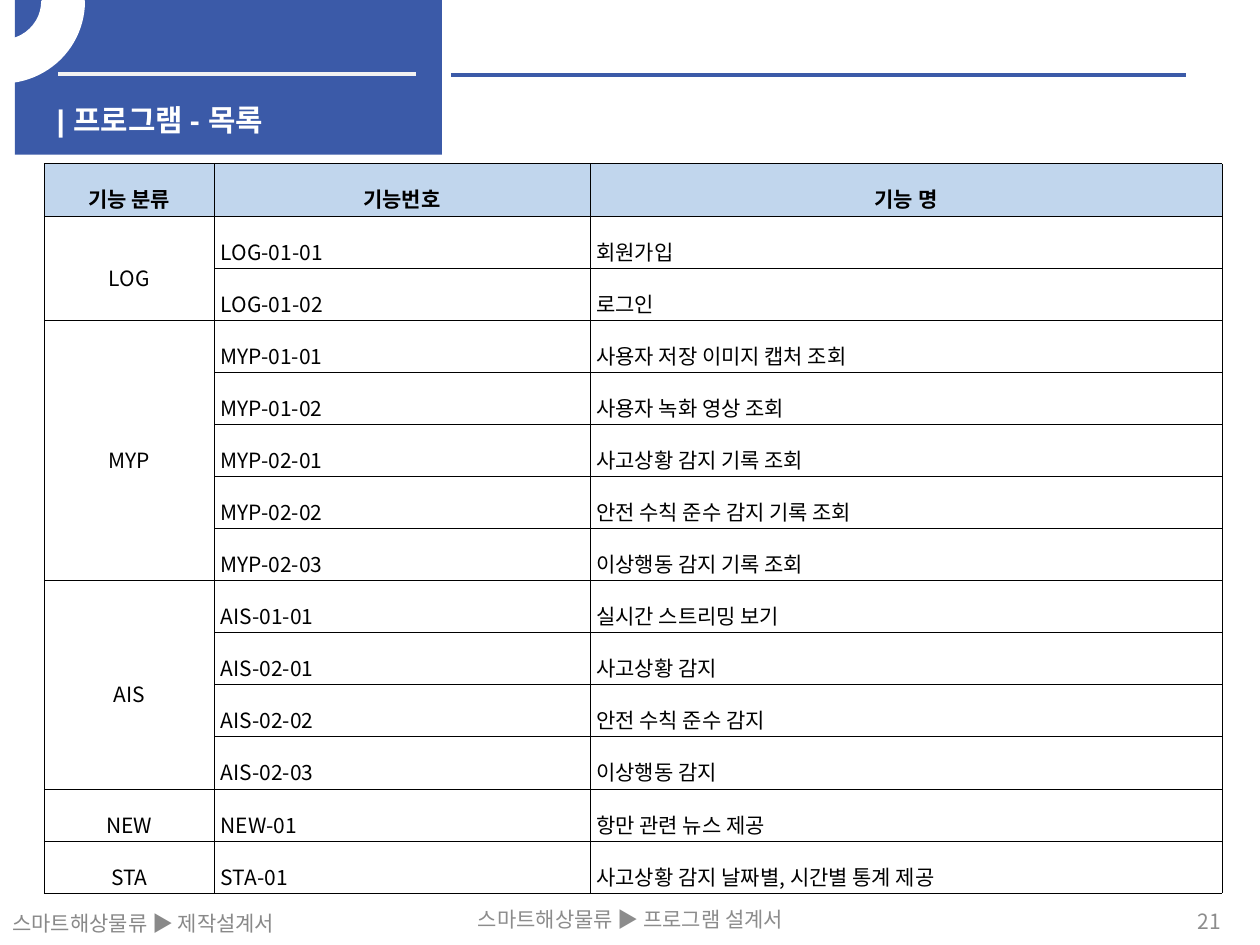
from dataclasses import dataclass

from lxml import etree
from pptx import Presentation
from pptx.dml.color import RGBColor
from pptx.enum.shapes import MSO_CONNECTOR, MSO_SHAPE
from pptx.enum.text import MSO_ANCHOR, MSO_AUTO_SIZE, PP_ALIGN
from pptx.oxml.ns import qn
from pptx.util import Cm, Pt

LEFT, CENTER, RIGHT = PP_ALIGN.LEFT, PP_ALIGN.CENTER, PP_ALIGN.RIGHT
JUSTIFY = PP_ALIGN.JUSTIFY
TOP, MIDDLE = MSO_ANCHOR.TOP, MSO_ANCHOR.MIDDLE
KOREAN_FONT = "Noto Sans CJK KR"
BLUE, WHITE, BLACK = "3B5AA8", "FFFFFF", "000000"
HEADER_BLUE, FOOTER_GRAY, NUMBER_GRAY = "C1D6ED", "898989", "8C8C8C"


@dataclass
class Category:
    code: str
    functions: list[tuple[str, str]]
    number_align: PP_ALIGN = LEFT


@dataclass
class Rule:
    left: float
    right: float
    y: float
    color: str


@dataclass
class Footer:
    text: str
    left: float
    top: float
    width: float
    height: float
    align: PP_ALIGN
    color: str = NUMBER_GRAY
    anchor: MSO_ANCHOR = MIDDLE
    wrap: bool = True


HEADINGS = ["기능 분류", "기능번호", "기능 명"]
COLUMN_WIDTHS = [3.43, 7.57, 12.75]
ROW_HEIGHT = 1.05
CATEGORIES = [
    Category("LOG", [("LOG-01-01", "회원가입"), ("LOG-01-02", "로그인")], JUSTIFY),
    Category("MYP", [
        ("MYP-01-01", "사용자 저장 이미지 캡처 조회"),
        ("MYP-01-02", "사용자 녹화 영상 조회"),
        ("MYP-02-01", "사고상황 감지 기록 조회"),
        ("MYP-02-02", "안전 수칙 준수 감지 기록 조회"),
        ("MYP-02-03", "이상행동 감지 기록 조회"),
    ], JUSTIFY),
    Category("AIS", [
        ("AIS-01-01", "실시간 스트리밍 보기"),
        ("AIS-02-01", "사고상황 감지"),
        ("AIS-02-02", "안전 수칙 준수 감지"),
        ("AIS-02-03", "이상행동 감지"),
    ]),
    Category("NEW", [("NEW-01", "항만 관련 뉴스 제공")]),
    Category("STA", [("STA-01", "사고상황 감지 날짜별, 시간별 통계 제공")]),
]
RULES = [Rule(1.17, 8.38, 1.5, "F2F2F2"), Rule(9.09, 23.9, 1.52, BLUE)]
FOOTERS = [
    Footer("스마트해상물류 ▶ 제작설계서", 0, 18.24, 6.38, 0.76, LEFT,
           FOOTER_GRAY, TOP, wrap=False),
    Footer("스마트해상물류 ▶ 프로그램 설계서", 8.69, 18.01, 8.05, 1.02, CENTER),
    Footer("21", 18.95, 18.31, 5.92, 0.53, RIGHT),
]


def rgb(color: str) -> RGBColor:
    return RGBColor.from_string(color)


def write(frame, text: str, *, size=12, color=BLACK, bold=False, font=KOREAN_FONT,
          align=LEFT, spacing=None) -> None:
    paragraph = frame.paragraphs[0]
    paragraph.alignment = align
    paragraph.line_spacing = spacing
    run = paragraph.add_run()
    run.text = text
    run.font.name = font
    run.font.size = Pt(size)
    run.font.bold = bold
    run.font.color.rgb = rgb(color)
    east_asian = etree.SubElement(run.font._element, qn("a:ea"))
    east_asian.set("typeface", KOREAN_FONT)


def draw_banner(slide) -> None:
    banner = slide.shapes.add_shape(
        MSO_SHAPE.RECTANGLE, Cm(0.3), 0, Cm(8.61), Cm(3.12))
    banner.shadow.inherit = False
    banner.fill.solid()
    banner.fill.fore_color.rgb = rgb(BLUE)
    banner.line.fill.background()


def draw_rule(slide, rule: Rule) -> None:
    line = slide.shapes.add_connector(
        MSO_CONNECTOR.STRAIGHT, Cm(rule.left), Cm(rule.y), Cm(rule.right), Cm(rule.y))
    line.line.color.rgb = rgb(rule.color)
    line.line.width = Pt(2.25)
    etree.SubElement(line._element.spPr, qn("a:effectLst"))


def draw_corner_arc(slide) -> None:
    arc = slide.shapes.add_shape(
        MSO_SHAPE.BLOCK_ARC, Cm(-1.6), Cm(-1.6), Cm(3.28), Cm(3.25))
    arc.shadow.inherit = False
    for index, value in enumerate([161.59, 0, 0.25]):
        arc.adjustments[index] = value
    arc._element.spPr.find(qn("a:xfrm")).set("flipV", "1")
    arc.fill.solid()
    arc.fill.fore_color.rgb = rgb(WHITE)
    arc.line.color.rgb = rgb(WHITE)
    arc.line.width = Pt(2)


def place_title(slide) -> None:
    title = slide.shapes.title
    title.left, title.top, title.width, title.height = Cm(0.89), Cm(1.93), Cm(7.8), Cm(0.81)
    frame = title.text_frame
    frame.auto_size = MSO_AUTO_SIZE.NONE
    frame.vertical_anchor = TOP
    write(frame, "| 프로그램 - 목록", size=17, color=WHITE, bold=True, font="Arial")
    slide.shapes._spTree.append(title._element)  # bring in front of the banner


def draw_footer(slide, footer: Footer) -> None:
    box = slide.shapes.add_textbox(
        Cm(footer.left), Cm(footer.top), Cm(footer.width), Cm(footer.height))
    box.text_frame.word_wrap = footer.wrap
    box.text_frame.vertical_anchor = footer.anchor
    write(box.text_frame, footer.text, color=footer.color, align=footer.align)


def add_borders(cell) -> None:
    properties = cell._tc.get_or_add_tcPr()
    for side in ("a:lnL", "a:lnR", "a:lnT", "a:lnB"):
        border = etree.SubElement(properties, qn(side), w=str(Pt(0.28)))
        fill = etree.SubElement(border, qn("a:solidFill"))
        etree.SubElement(fill, qn("a:srgbClr"), val=BLACK)


def fill_cell(cell, text: str, align: PP_ALIGN, bold: bool = False) -> None:
    write(cell.text_frame, text, align=align, bold=bold, spacing=1.6)


def draw_function_table(slide) -> None:
    row_count = 1 + sum(len(category.functions) for category in CATEGORIES)
    table = slide.shapes.add_table(
        row_count, len(HEADINGS), Cm(0.89), Cm(3.3),
        Cm(sum(COLUMN_WIDTHS)), Cm(ROW_HEIGHT * row_count)).table
    table.first_row = table.horz_banding = False
    for column, width in zip(table.columns, COLUMN_WIDTHS):
        column.width = Cm(width)
    for table_row in table.rows:
        table_row.height = Cm(ROW_HEIGHT)
    for cell in table.iter_cells():
        cell.margin_left = cell.margin_right = Cm(0.13)
        cell.margin_top = cell.margin_bottom = Cm(0.03)
        cell.vertical_anchor = MIDDLE
        add_borders(cell)
        cell.fill.background()

    for column_index, heading in enumerate(HEADINGS):
        cell = table.cell(0, column_index)
        cell.fill.solid()
        cell.fill.fore_color.rgb = rgb(HEADER_BLUE)
        fill_cell(cell, heading, CENTER, bold=True)
    row = 1
    for category in CATEGORIES:
        last_row = row + len(category.functions) - 1
        if last_row > row:
            table.cell(row, 0).merge(table.cell(last_row, 0))
        fill_cell(table.cell(row, 0), category.code, CENTER)
        for number, name in category.functions:
            fill_cell(table.cell(row, 1), number, category.number_align)
            fill_cell(table.cell(row, 2), name, JUSTIFY)
            row += 1


def main() -> None:
    presentation = Presentation()
    presentation.slide_width, presentation.slide_height = Cm(25.4), Cm(19.05)
    slide = presentation.slides.add_slide(presentation.slide_layouts[5])
    draw_banner(slide)
    for rule in RULES:
        draw_rule(slide, rule)
    draw_corner_arc(slide)
    place_title(slide)
    for footer in FOOTERS:
        draw_footer(slide, footer)
    draw_function_table(slide)
    presentation.save("out.pptx")


if __name__ == "__main__":
    main()
